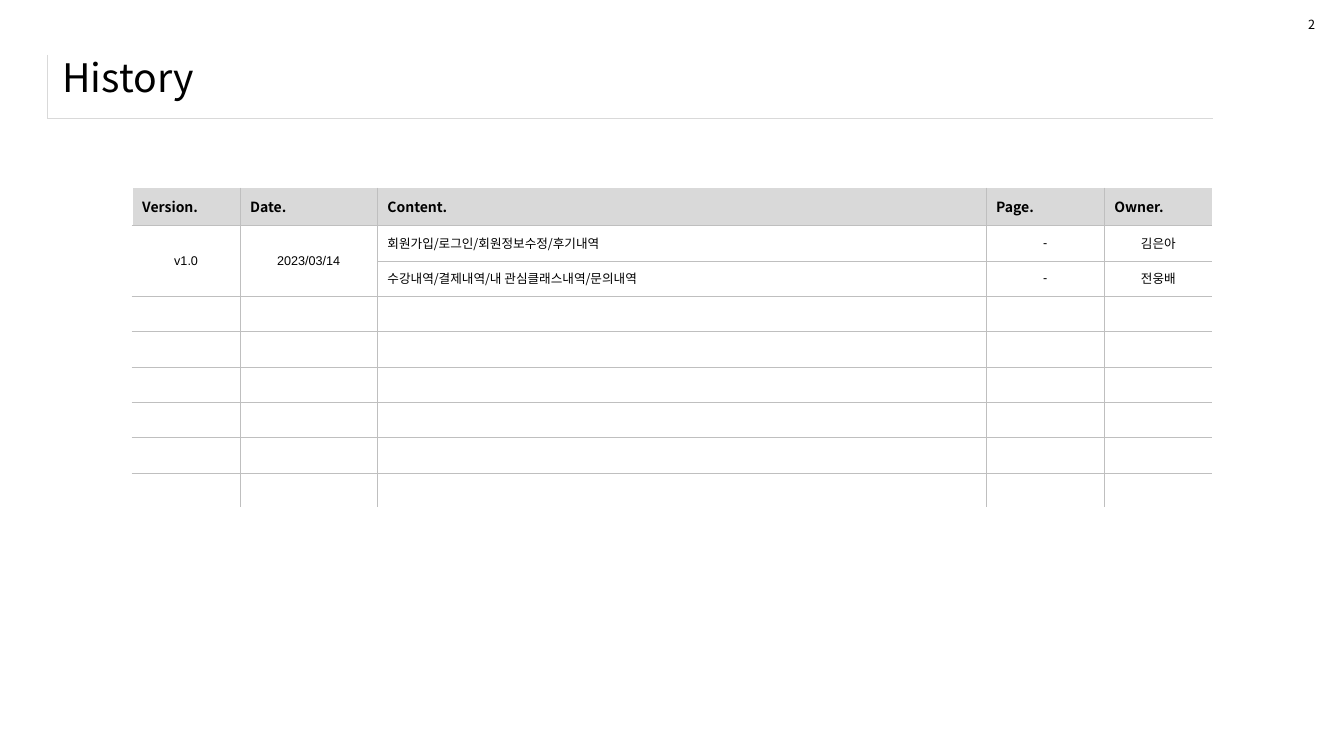
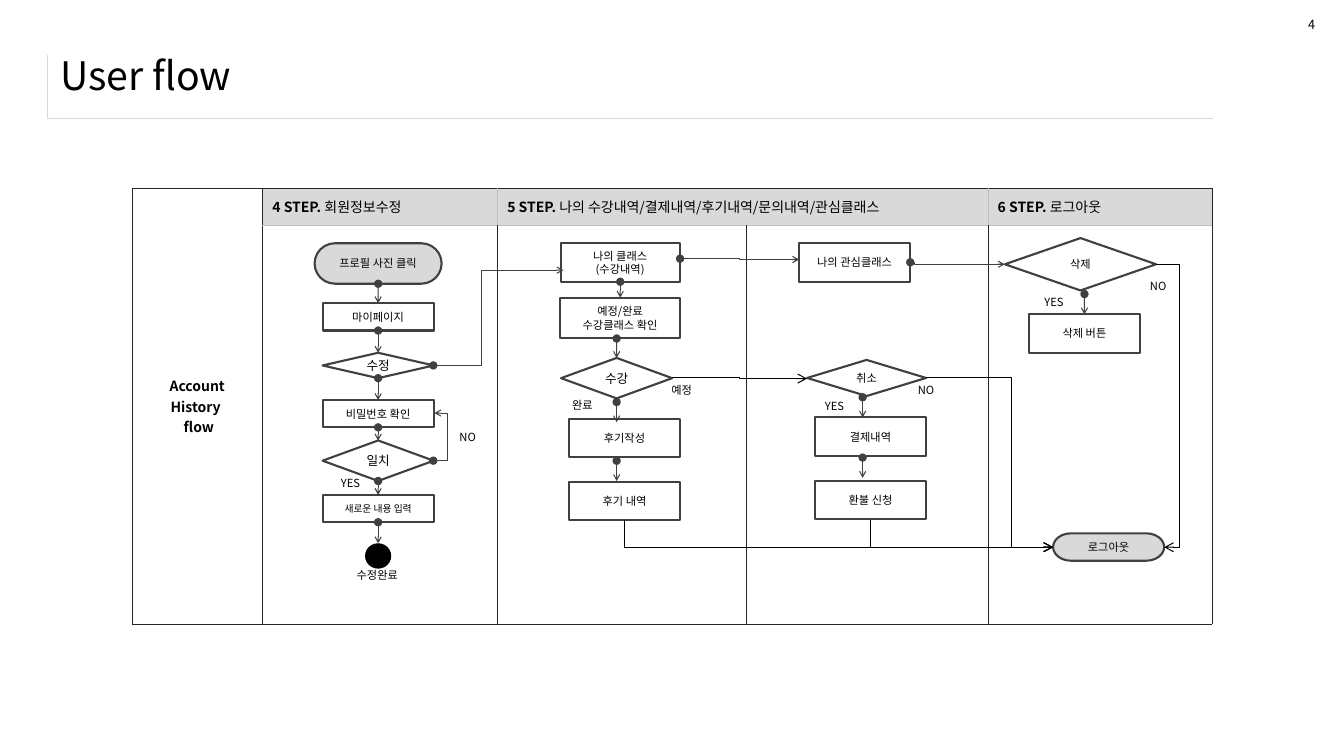
from lxml import etree
from pptx import Presentation
from pptx.dml.color import RGBColor
from pptx.enum.shapes import MSO_CONNECTOR, MSO_SHAPE
from pptx.enum.text import MSO_ANCHOR, PP_ALIGN
from pptx.oxml.ns import qn
from pptx.util import Cm, Pt

LEFT, CENTER = PP_ALIGN.LEFT, PP_ALIGN.CENTER
TOP, MIDDLE = MSO_ANCHOR.TOP, MSO_ANCHOR.MIDDLE
STRAIGHT, ELBOW = MSO_CONNECTOR.STRAIGHT, MSO_CONNECTOR.ELBOW
TERMINATOR = MSO_SHAPE.FLOWCHART_TERMINATOR
PROCESS = MSO_SHAPE.FLOWCHART_PROCESS
DECISION = MSO_SHAPE.FLOWCHART_DECISION
DOT = MSO_SHAPE.FLOWCHART_CONNECTOR
SITE_TOP, SITE_BOTTOM = 0, 2

FONT = "Noto Sans CJK KR"
COLORS = {
    "black": "000000",
    "white": "FFFFFF",
    "panel": "D9D9D9",
    "rule": "BFBFBF",
    "ink": "262626",
    "stroke": "404040",
}


def rgb(name):
    return RGBColor.from_string(COLORS[name])


def write(tf, text, size=8, font=FONT, bold=False, align=LEFT, lead=""):
    for i, line in enumerate(text.split("\n")):
        p = tf.add_paragraph() if i else tf.paragraphs[0]
        p.alignment = align
        for part, strong in ((lead, True), (line, bold)):
            if part:
                r = p.add_run()
                r.text = part
                r.font.size = Pt(size)
                r.font.name = font
                r.font.bold = strong
                r.font.color.rgb = rgb("black")
                ea = etree.SubElement(r.font._element, qn("a:ea"))
                ea.set("typeface", font)
    if not text:
        end = etree.SubElement(tf.paragraphs[0]._p, qn("a:endParaRPr"))
        end.set("sz", str(size * 100))


class Deck:
    def __init__(self):
        self.prs = Presentation()
        self.prs.slide_width = Cm(33.87)
        self.prs.slide_height = Cm(19.05)
        self.slide = None

    def add_slide(self, title, number, x, y, h):
        self.slide = self.prs.slides.add_slide(self.prs.slide_layouts[5])
        self.table(1.2, 1.38, [29.36], [1.35],
                   lambda r, c: None if c else "panel",
                   lambda r, c: "panel" if r else None, empty_size=31)
        sp = self.slide.shapes.title
        sp.left, sp.top, sp.width, sp.height = Cm(x), Cm(y), Cm(31.72), Cm(h)
        sp.text_frame.vertical_anchor = MIDDLE
        write(sp.text_frame, title, size=28)
        self.label(number, 32.72, 0.3, 0.75, size=9)

    def label(self, text, x, y, w, **fmt):
        sp = self.slide.shapes.add_textbox(Cm(x), Cm(y), Cm(w), Cm(0.61))
        sp.text_frame.word_wrap = True
        sp.text_frame.vertical_anchor = TOP
        write(sp.text_frame, text, **fmt)

    def node(self, kind, text, cx, y, w=2.8, h=0.97, fill="white", size=8):
        sp = self.slide.shapes.add_shape(
            kind, Cm(cx - w / 2), Cm(y), Cm(w), Cm(h))
        sp.shadow.inherit = False
        sp.fill.solid()
        sp.fill.fore_color.rgb = rgb(fill)
        if kind == DOT:
            sp.line.fill.background()
        else:
            sp.line.color.rgb = rgb("stroke")
            sp.line.width = Pt(1.5)
        tf = sp.text_frame
        tf.margin_left = tf.margin_right = tf.margin_top = tf.margin_bottom = 0
        tf.vertical_anchor = MIDDLE
        tf.word_wrap = True
        if text:
            write(tf, text, size=size, align=CENTER)
        return sp

    def line(self, start, end, via=None, color="black",
             head=None, tail=None, tip="med"):
        glue = [hasattr(pt[0], "shape_id") for pt in (start, end)]
        (x1, y1), (x2, y2) = [
            (0, 0) if g else pt for g, pt in zip(glue, (start, end))]
        cx = self.slide.shapes.add_connector(
            STRAIGHT if via is None else ELBOW, Cm(x1), Cm(y1), Cm(x2), Cm(y2))
        if glue[0]:
            cx.begin_connect(*start)
        if glue[1]:
            cx.end_connect(*end)
        cx.line.color.rgb = rgb(color)
        cx.line.width = Pt(0.75)
        sppr = cx._element.spPr
        if via is not None:
            av = sppr.find(qn("a:prstGeom")).get_or_add_avLst()
            gd = etree.SubElement(av, qn("a:gd"))
            gd.set("name", "adj1")
            gd.set("fmla", f"val {round((via - x1) / (x2 - x1) * 100000)}")
        for tag, kind in (("a:headEnd", head), ("a:tailEnd", tail)):
            if kind:
                e = etree.SubElement(cx.line._ln, qn(tag))
                size = tip if kind == "arrow" else "med"
                for key, value in (("type", kind), ("w", size), ("len", size)):
                    e.set(key, value)
        etree.SubElement(sppr, qn("a:effectLst"))

    def step(self, start, end, via=None):
        self.line(start, end, via, "stroke", head="oval", tail="arrow", tip="sm")

    def table(self, x, y, cols, rows, vertical, horizontal, empty_size=9):
        tbl = self.slide.shapes.add_table(
            len(rows), len(cols), Cm(x), Cm(y),
            Cm(sum(cols)), Cm(sum(rows))).table
        tbl.first_row = tbl.horz_banding = False
        for col, w in zip(tbl.columns, cols):
            col.width = Cm(w)
        for row, h in zip(tbl.rows, rows):
            row.height = Cm(h)
        for r in range(len(rows)):
            for c in range(len(cols)):
                cell = tbl.cell(r, c)
                self.border(cell, "a:lnL", vertical(r, c))
                self.border(cell, "a:lnR", vertical(r, c + 1))
                self.border(cell, "a:lnT", horizontal(r, c))
                self.border(cell, "a:lnB", horizontal(r + 1, c))
                self.cell(cell, "", size=empty_size)
        return tbl

    def border(self, cell, tag, color):
        ln = etree.SubElement(cell._tc.get_or_add_tcPr(), qn(tag))
        ln.set("w", str(Pt(1 if color == "white" else 0.25)))
        if color:
            fill = etree.SubElement(ln, qn("a:solidFill"))
            etree.SubElement(fill, qn("a:srgbClr")).set("val", COLORS[color])
        else:
            etree.SubElement(ln, qn("a:noFill"))

    def cell(self, cell, text, fill=None, **fmt):
        if fill:
            cell.fill.solid()
            cell.fill.fore_color.rgb = rgb(fill)
        else:
            cell.fill.background()
        cell.vertical_anchor = MIDDLE
        write(cell.text_frame, text, **fmt)


def history(deck):
    deck.add_slide("History", "2", 1.32, 1.14, 1.6)
    cols = [2.72, 3.46, 15.34, 2.98, 2.72]
    rows = [0.95] + [0.89] * 8
    v_edges = {0: "white", len(cols): None}
    h_edges = {0: None, len(rows): "white"}
    tbl = deck.table(3.33, 4.73, cols, rows,
                     lambda r, c: v_edges.get(c, "rule"),
                     lambda r, c: h_edges.get(r, "rule"))
    for c, text in enumerate(["Version.", "Date.", "Content.", "Page.", "Owner."]):
        deck.cell(tbl.cell(0, c), text, fill="panel", size=10, bold=True)
    for c, text in enumerate(["v1.0", "2023/03/14"]):
        tbl.cell(1, c).merge(tbl.cell(2, c))
        deck.cell(tbl.cell(1, c), text, size=9, font="Arial", align=CENTER)
    entries = [
        ("회원가입/로그인/회원정보수정/후기내역", "김은아"),
        ("수강내역/결제내역/내 관심클래스내역/문의내역", "전웅배"),
    ]
    for r, (content, owner) in enumerate(entries, 1):
        deck.cell(tbl.cell(r, 2), content, size=9)
        deck.cell(tbl.cell(r, 3), "-", size=9, font="Arial", align=CENTER)
        deck.cell(tbl.cell(r, 4), owner, size=9, align=CENTER)


def user_flow(deck):
    deck.add_slide("User flow", "4", 1.26, 1.04, 1.7)
    tbl = deck.table(3.33, 4.73, [3.28, 5.92, 6.27, 6.09, 5.66], [0.95, 10.05],
                     lambda r, c: "rule" if r == 0 and 2 <= c <= 4 else "ink",
                     lambda r, c: "rule" if r == 1 and c > 0 else "ink")
    tbl.cell(0, 0).merge(tbl.cell(1, 0))
    tbl.cell(0, 2).merge(tbl.cell(0, 3))
    deck.cell(tbl.cell(0, 0), "Account\nHistory \n flow",
              size=10, bold=True, align=CENTER)
    heads = [
        (1, "4 STEP. ", "회원정보수정"),
        (2, "5 STEP. ", "나의 수강내역/결제내역/후기내역/문의내역/관심클래스"),
        (4, "6 STEP. ", "로그아웃"),
    ]
    for c, lead, text in heads:
        deck.cell(tbl.cell(0, c), text, fill="panel", size=10, lead=lead)

    profile = [
        deck.node(kind, text, 9.53, y, w, h, fill, size)
        for kind, text, y, w, h, fill, size in [
            (TERMINATOR, "프로필 사진 클릭", 6.13, 3.2, 1.02, "panel", 8),
            (PROCESS, "마이페이지", 7.64, 2.8, 0.69, "white", 8),
            (DECISION, "수정", 8.89, 2.8, 0.64, "white", 9),
            (PROCESS, "비밀번호 확인", 10.08, 2.8, 0.69, "white", 8),
            (DECISION, "일치", 11.1, 2.8, 1.02, "white", 9),
            (PROCESS, "새로운 내용 입력", 12.47, 2.8, 0.69, "white", 7),
            (DOT, "", 13.69, 0.66, 0.64, "black", 8),
        ]
    ]
    classes = deck.node(PROCESS, "나의 클래스\n(수강내역)", 15.63, 6.13, w=3)
    status = deck.node(PROCESS, "예정/완료\n수강클래스 확인", 15.63, 7.5, w=3.02, h=1.02)
    attend = deck.node(DECISION, "수강", 15.54, 9.02, h=1.02, size=9)
    deck.node(PROCESS, "후기작성", 15.74, 10.55)
    deck.node(PROCESS, "후기 내역", 15.74, 12.14)
    deck.node(PROCESS, "나의 관심클래스", 21.54, 6.13)
    deck.node(DECISION, "취소", 21.84, 9.07, w=3, h=0.91)
    deck.node(PROCESS, "결제내역", 21.94, 10.52)
    deck.node(PROCESS, "환불 신청", 21.94, 12.12)
    deck.node(DECISION, "삭제", 27.23, 6, w=3.81, h=1.32)
    button = deck.node(PROCESS, "삭제 버튼", 27.33, 7.92)
    deck.node(TERMINATOR, "로그아웃", 27.94, 13.44, h=0.69, fill="panel")

    for upper, lower in zip(profile, profile[1:]):
        deck.step((upper, SITE_BOTTOM), (lower, SITE_TOP))
    deck.step((classes, SITE_BOTTOM), (status, SITE_TOP))
    deck.step((15.54, 8.53), (attend, SITE_TOP))
    deck.step((27.33, 7.41), (button, SITE_TOP))
    for x, y in [(15.54, 10.13), (15.54, 11.61), (21.74, 10.01), (21.74, 11.53)]:
        deck.step((x, y), (x, y + 0.51))
    for start, end, via in [
        ((10.92, 11.61), (10.95, 10.41), 11.28),
        ((10.92, 9.21), (14.2, 6.81), 12.14),
        ((17.14, 6.52), (20.14, 6.54), 18.64),
        ((22.94, 6.61), (25.32, 6.66), 23.04),
    ]:
        deck.step(start, end, via)

    for start, end, via in [
        ((16.94, 9.52), (20.34, 9.54), 18.64),
        ((23.34, 9.52), (26.54, 13.79), 25.5),
        ((29.13, 6.66), (29.34, 13.79), 29.72),
    ]:
        deck.line(start, end, via, tail="arrow")
    for x in (15.74, 21.95):
        deck.line((26.54, 13.79), (x, 13.11), via=x, head="arrow")

    for text, x, y, w in [
        ("수정완료", 8.74, 14.2, 1.75),
        ("YES", 8.34, 11.87, 1.37),
        ("NO", 11.33, 10.72, 1.07),
        ("예정", 16.67, 9.53, 1.14),
        ("완료", 14.17, 9.92, 1.17),
        ("YES", 20.54, 9.93, 1.17),
        ("NO", 22.88, 9.53, 1.07),
        ("YES", 26.07, 7.31, 1.17),
        ("NO", 28.73, 6.92, 1.07),
    ]:
        deck.label(text, x, y, w)


def main():
    deck = Deck()
    history(deck)
    user_flow(deck)
    deck.prs.save("out.pptx")


if __name__ == "__main__":
    main()
